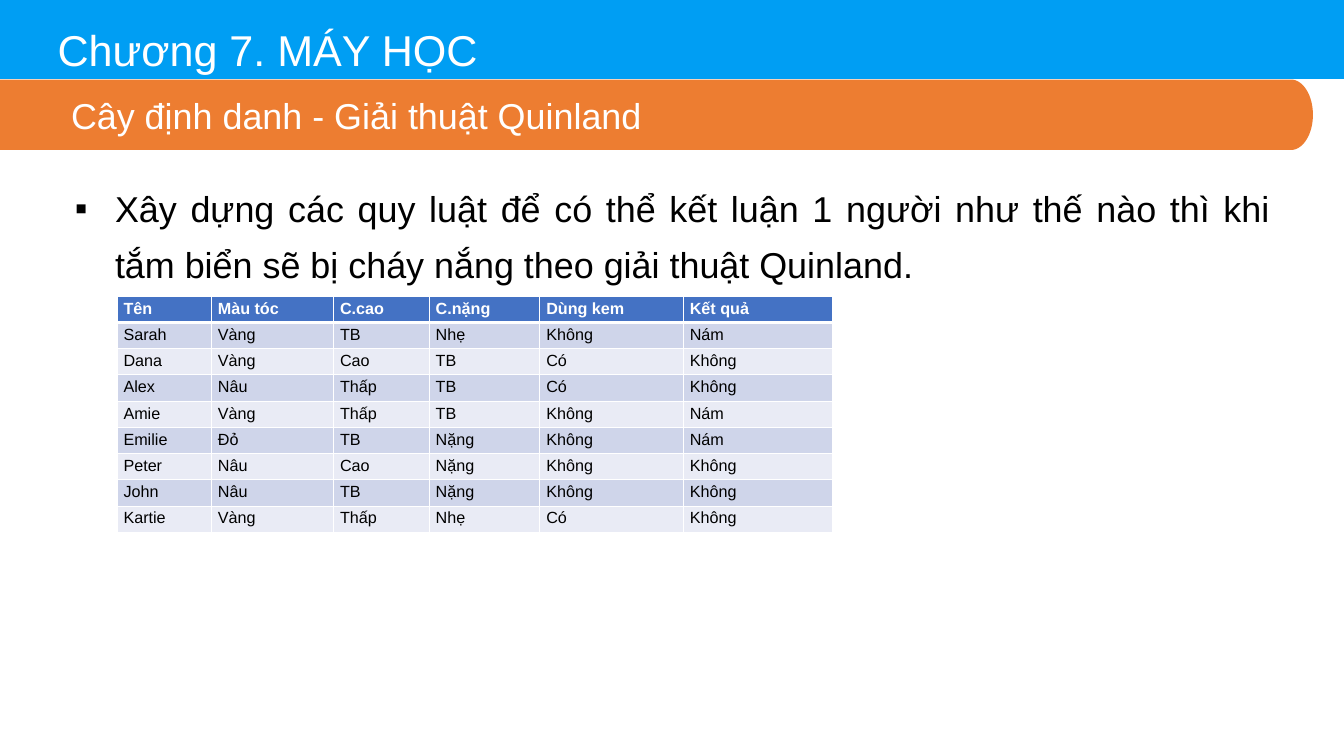
from math import cos, pi, sin

from lxml.etree import SubElement
from pptx import Presentation
from pptx.dml.color import RGBColor
from pptx.enum.shapes import MSO_SHAPE as Preset
from pptx.enum.text import MSO_ANCHOR as Anchor, MSO_AUTO_SIZE as AutoSize, PP_ALIGN as Align
from pptx.oxml.ns import qn
from pptx.util import Inches, Pt

WIDTH, HEIGHT = Inches(20.79), Inches(11.69)
FONT = "Arial"
COLOURS = {
    "white": "FFFFFF",
    "black": "000000",
    "chapter": "009EF3",
    "topic": "ED7D31",
    "header": "4472C4",
    "odd row": "CFD5EA",
    "even row": "E9EBF5",
}

COLUMN_SHARES = [7.02, 9.09, 7.12, 8.23, 10.68, 11.11]
ROW_SHARE = 3.47
PEOPLE = [
    ["Tên", "Màu tóc", "C.cao", "C.nặng", "Dùng kem", "Kết quả"],
    ["Sarah", "Vàng", "TB", "Nhẹ", "Không", "Nám"],
    ["Dana", "Vàng", "Cao", "TB", "Có", "Không"],
    ["Alex", "Nâu", "Thấp", "TB", "Có", "Không"],
    ["Amie", "Vàng", "Thấp", "TB", "Không", "Nám"],
    ["Emilie", "Đỏ", "TB", "Nặng", "Không", "Nám"],
    ["Peter", "Nâu", "Cao", "Nặng", "Không", "Không"],
    ["John", "Nâu", "TB", "Nặng", "Không", "Không"],
    ["Kartie", "Vàng", "Thấp", "Nhẹ", "Có", "Không"],
]


def across(percent):
    return round(WIDTH * percent / 100)


def down(percent):
    return round(HEIGHT * percent / 100)


def rgb(name):
    return RGBColor.from_string(COLOURS[name])


def paint(shape, colour):
    shape.shadow.inherit = False
    shape.fill.solid()
    shape.fill.fore_color.rgb = rgb(colour)
    shape.line.fill.background()


def style(para, size, colour, align=Align.LEFT, bold=False):
    para.alignment = align
    para.font.name = FONT
    para.font.size = Pt(size)
    para.font.bold = bold
    para.font.color.rgb = rgb(colour)


def fill_placeholder(box, text, left, top, width, height):
    """Move a placeholder, strip its margins and return its paragraph."""
    box.left, box.top = across(left), down(top)
    box.width, box.height = across(width), down(height)
    frame = box.text_frame
    frame.text = text
    frame.word_wrap = True
    frame.auto_size = AutoSize.SHAPE_TO_FIT_TEXT
    frame.vertical_anchor = Anchor.TOP
    frame.margin_left = frame.margin_right = frame.margin_bottom = 0
    frame.margin_top = Inches(0.01)
    return frame.paragraphs[0]


def add_bullet(para, symbol, indent, hanging):
    properties = para._p.get_or_add_pPr()
    properties.set("marL", str(Inches(indent)))
    properties.set("indent", str(-Inches(hanging)))
    SubElement(properties, qn("a:buFont"), typeface=FONT)
    SubElement(properties, qn("a:buChar"), char=symbol)


def add_banner(page, text, top, width, height, cap):
    """Draw a bar from the left edge with a half-ellipse at its right end."""
    centre_x, centre_y = across(width - cap), down(top + height / 2)
    steps = 32
    angles = [pi * (step / steps - 0.5) for step in range(steps + 1)]
    curve = [
        (round(centre_x + across(cap) * cos(angle)),
         round(centre_y + down(height / 2) * sin(angle)))
        for angle in angles
    ]
    builder = page.shapes.build_freeform(0, down(top))
    builder.add_line_segments(curve + [(0, down(top + height))], close=True)
    banner = builder.convert_to_shape()
    paint(banner, "topic")
    frame = banner.text_frame
    frame.text = text
    frame.word_wrap = True
    frame.vertical_anchor = Anchor.MIDDLE
    para = frame.paragraphs[0]
    para._p.get_or_add_pPr().set("marL", str(Inches(1)))
    style(para, 40, "white", Align.JUSTIFY)


def add_borders(cell, top, bottom):
    properties = cell._tc.get_or_add_tcPr()
    for side, width in (("L", 1), ("R", 1), ("T", top), ("B", bottom)):
        line = SubElement(properties, qn(f"a:ln{side}"), w=str(Pt(width)))
        fill = SubElement(line, qn("a:solidFill"))
        SubElement(fill, qn("a:srgbClr"), val=COLOURS["white"])


def add_people_table(page, left, top):
    table = page.shapes.add_table(
        len(PEOPLE), len(COLUMN_SHARES), across(left), down(top),
        across(sum(COLUMN_SHARES)), down(ROW_SHARE * len(PEOPLE)),
    ).table
    for column, share in zip(table.columns, COLUMN_SHARES):
        column.width = across(share)
    for number, (row, values) in enumerate(zip(table.rows, PEOPLE)):
        row.height = down(ROW_SHARE)
        is_header = number == 0
        colour = "header" if is_header else "odd row" if number % 2 else "even row"
        for cell, value in zip(row.cells, values):
            cell.text = value
            add_borders(cell, top=3 if number == 1 else 1, bottom=3 if is_header else 1)
            cell.fill.solid()
            cell.fill.fore_color.rgb = rgb(colour)
            style(cell.text_frame.paragraphs[0], 18,
                  "white" if is_header else "black", bold=is_header)


def main():
    deck = Presentation()
    deck.slide_width, deck.slide_height = WIDTH, HEIGHT
    page = deck.slides.add_slide(deck.slide_layouts[1])
    title, body = page.placeholders

    # Chapter band, placed behind the title
    band = page.shapes.add_shape(Preset.RECTANGLE, 0, 0, WIDTH, down(10.44))
    paint(band, "chapter")
    title.element.addprevious(band.element)

    # Chapter title
    para = fill_placeholder(title, "Chương 7. MÁY HỌC", 4.28, 2.99, 90.19, 7.01)
    style(para, 48, "white")

    # Task
    para = fill_placeholder(
        body,
        "Xây dựng các quy luật để có thể kết luận 1 người như thế nào "
        "thì khi tắm biển sẽ bị cháy nắng theo giải thuật Quinland.",
        5.48, 22.93, 88.98, 14.46,
    )
    add_bullet(para, "▪", indent=0.64, hanging=0.62)
    para.line_spacing = 1.3
    para.space_before = Pt(0)
    style(para, 40, "black", Align.JUSTIFY)

    # Topic banner and data
    add_banner(page, "Cây định danh - Giải thuật Quinland",
               top=10.52, width=97.69, height=9.32, cap=1.64)
    add_people_table(page, left=8.71, top=39.18)

    deck.save("out.pptx")


if __name__ == "__main__":
    main()
